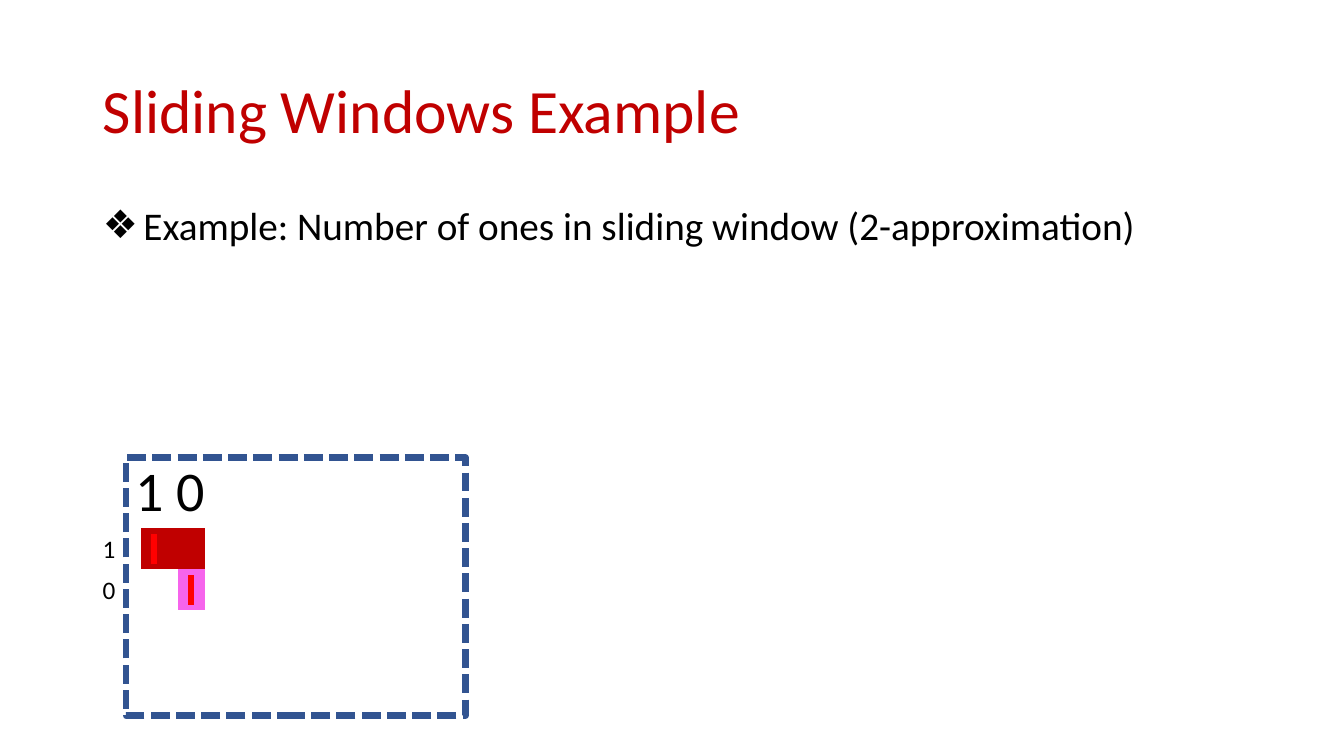
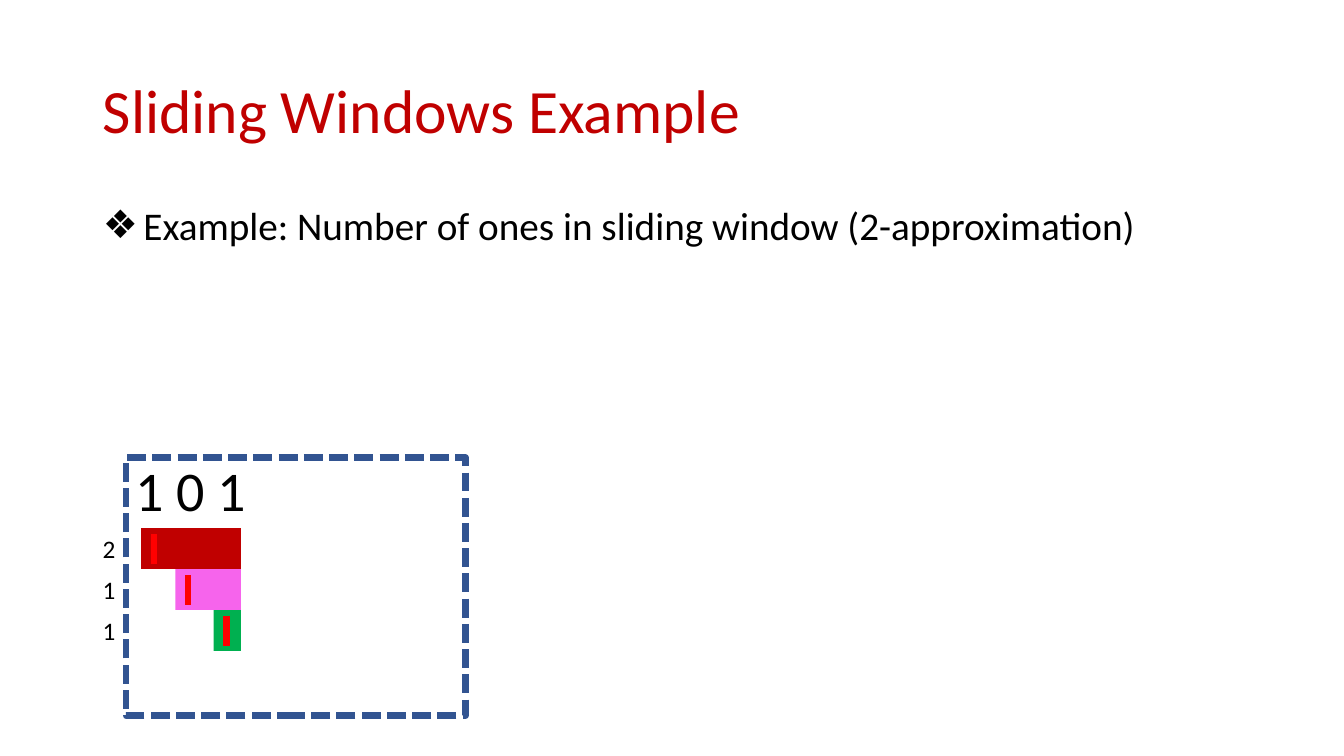
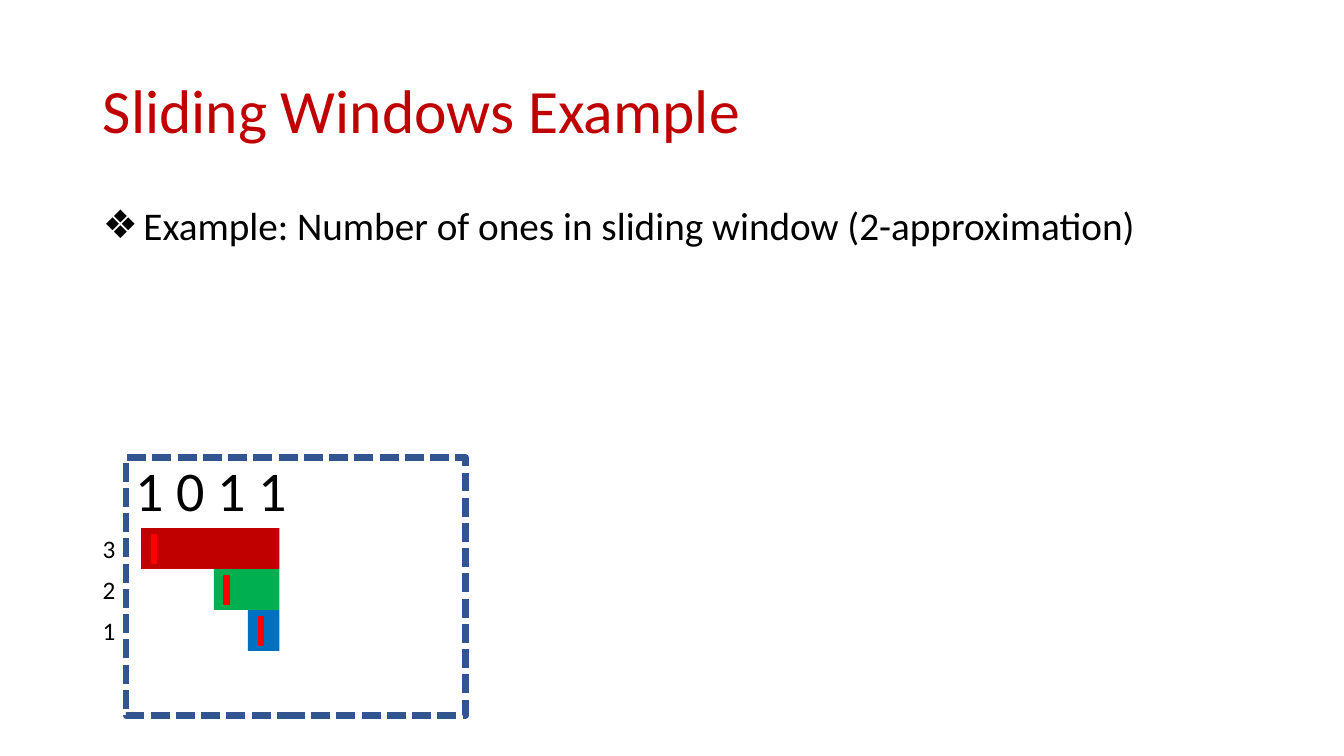
import pptx
import pptx.util
import pptx.dml.color
import pptx.enum.dml
import pptx.enum.shapes
import pptx.enum.text
import pptx.oxml.ns
from lxml import etree

Pt = pptx.util.Pt

COLORS = {
    "title": "C00000",
    "text": "000000",
    "window": "325491",
    "marker": "FF0000",
    "crimson": "C00000",
    "pink": "F664EC",
    "green": "00B050",
    "blue": "0070C0",
}
TITLE = "Sliding Windows Example"
EXAMPLE = "Example: Number of ones in sliding window (2-approximation)"
TITLE_BOX = (66.24, 28.8, 828, 104.4)
EXAMPLE_BOX = (66.24, 144, 828, 205.92)
WINDOW_BOX = (90, 326.88, 242.64, 184.32)
BITS_LEFT, BITS_TOP, BITS_HEIGHT = 90, 321.84, 55.44
BITS_WIDTH, BIT_STEP = 35.3, 29.5
COUNT_LEFT, COUNT_WIDTH = 66.24, 23.76
FIRST_ROW, ROW_STEP, BAR_HEIGHT = 377.28, 29.25, 29.1
MARKER_LEFT, MARKER_INSET = 9.2, 4.3

STAGES = [
    ("1 0", 146.4, [("1", "crimson", 100.8), ("0", "pink", 127.2)]),
    ("1 0 1", 172.1, [("2", "crimson", 100.8), ("1", "pink", 125.3),
                      ("1", "green", 152.7)]),
    ("1 0 1 1", 199.6, [("3", "crimson", 100.8), ("2", "green", 152.7),
                        ("1", "blue", 177.1)]),
]


def rgb(name):
    """Return the named colour."""
    return pptx.dml.color.RGBColor.from_string(COLORS[name])


def apply(target, values):
    """Set every attribute in values on target."""
    for attribute, value in values.items():
        setattr(target, attribute, value)


def points(box):
    """Turn a sequence of numbers into lengths in points."""
    return [Pt(length) for length in box]


def write(holder, text, size, color, frame_format, line_spacing=1.0):
    """Fill a text holder with one left-aligned paragraph."""
    frame = holder.text_frame
    apply(frame, frame_format)
    frame.text = text
    paragraph = frame.paragraphs[0]
    apply(paragraph, {
        "alignment": pptx.enum.text.PP_ALIGN.LEFT,
        "line_spacing": line_spacing,
        "space_before": Pt(0),
    })
    apply(paragraph.font, {"size": Pt(size), "name": "Calibri"})
    paragraph.font.color.rgb = rgb(color)
    return paragraph


def fill_placeholder(placeholder, box, text, size, color, anchor):
    """Move a placeholder and write its text."""
    apply(placeholder, dict(zip(("left", "top", "width", "height"), points(box))))
    frame_format = {
        "vertical_anchor": anchor,
        "auto_size": pptx.enum.text.MSO_AUTO_SIZE.NONE,
        "word_wrap": True,
    }
    return write(placeholder, text, size, color, frame_format, 0.9)


def add_bullet(paragraph, symbol, indent):
    """Give a paragraph a hanging bullet."""
    properties = paragraph._p.get_or_add_pPr()
    properties.set("marL", str(Pt(indent)))
    properties.set("indent", str(-Pt(indent)))
    bullet = etree.Element(pptx.oxml.ns.qn("a:buChar"), char=symbol)
    properties.append(bullet)


def add_label(slide, box, text, size):
    """Add an unwrapped text label."""
    label = slide.shapes.add_textbox(*points(box))
    write(label, text, size, "text", {
        "word_wrap": False,
        "auto_size": pptx.enum.text.MSO_AUTO_SIZE.SHAPE_TO_FIT_TEXT,
    })


def add_rectangle(slide, box):
    """Add a rectangle without a shadow."""
    rectangle = slide.shapes.add_shape(
        pptx.enum.shapes.MSO_SHAPE.RECTANGLE, *points(box))
    rectangle.shadow.inherit = False
    return rectangle


def add_window(slide):
    """Draw the dashed outline of the sliding window."""
    window = add_rectangle(slide, WINDOW_BOX)
    window.fill.background()
    window.line.color.rgb = rgb("window")
    apply(window.line, {
        "width": Pt(4.5),
        "dash_style": pptx.enum.dml.MSO_LINE.SQUARE_DOT,
    })
    style_dash = window.line._ln.find(pptx.oxml.ns.qn("a:prstDash"))
    style_dash.set("val", "sysDash")


def add_marker(slide, x, top, bottom):
    """Draw the red stroke at the start of a bar."""
    marker = slide.shapes.add_connector(
        pptx.enum.shapes.MSO_CONNECTOR.STRAIGHT, *points((x, top, x, bottom)))
    marker.line.color.rgb = rgb("marker")
    marker.line.width = Pt(4.5)
    etree.SubElement(marker._element.spPr, pptx.oxml.ns.qn("a:effectLst"))


def add_counter(slide, row, count, color, start, end):
    """Add one counter value with its bar and marker."""
    top = FIRST_ROW + row * ROW_STEP
    bar = add_rectangle(slide, (start, top, end - start, BAR_HEIGHT))
    bar.fill.solid()
    bar.fill.fore_color.rgb = rgb(color)
    bar.line.fill.background()
    add_marker(slide, start + MARKER_LEFT, top + MARKER_INSET,
               top + BAR_HEIGHT - MARKER_INSET + 1)
    add_label(slide, (COUNT_LEFT, top, COUNT_WIDTH, BAR_HEIGHT), count, 18)


def add_stage(deck, bits, end, counters):
    """Add the slide for one stage of the stream."""
    slide = deck.slides.add_slide(deck.slide_layouts[1])
    anchors = pptx.enum.text.MSO_ANCHOR
    fill_placeholder(slide.shapes.title, TITLE_BOX, TITLE, 44, "title",
                     anchors.MIDDLE)
    example = fill_placeholder(slide.placeholders[1], EXAMPLE_BOX, EXAMPLE, 28,
                               "text", anchors.TOP)
    add_bullet(example, "❖", 29)
    bits_width = BITS_WIDTH + BIT_STEP * (len(bits.split()) - 1)
    add_label(slide, (BITS_LEFT, BITS_TOP, bits_width, BITS_HEIGHT), bits, 40)
    for row, (count, color, start) in enumerate(counters):
        add_counter(slide, row, count, color, start, end)
    add_window(slide)


def main():
    """Build and save the deck."""
    deck = pptx.Presentation()
    apply(deck, {"slide_width": Pt(960), "slide_height": Pt(540)})
    for stage in STAGES:
        add_stage(deck, *stage)
    deck.save("out.pptx")


if __name__ == "__main__":
    main()
